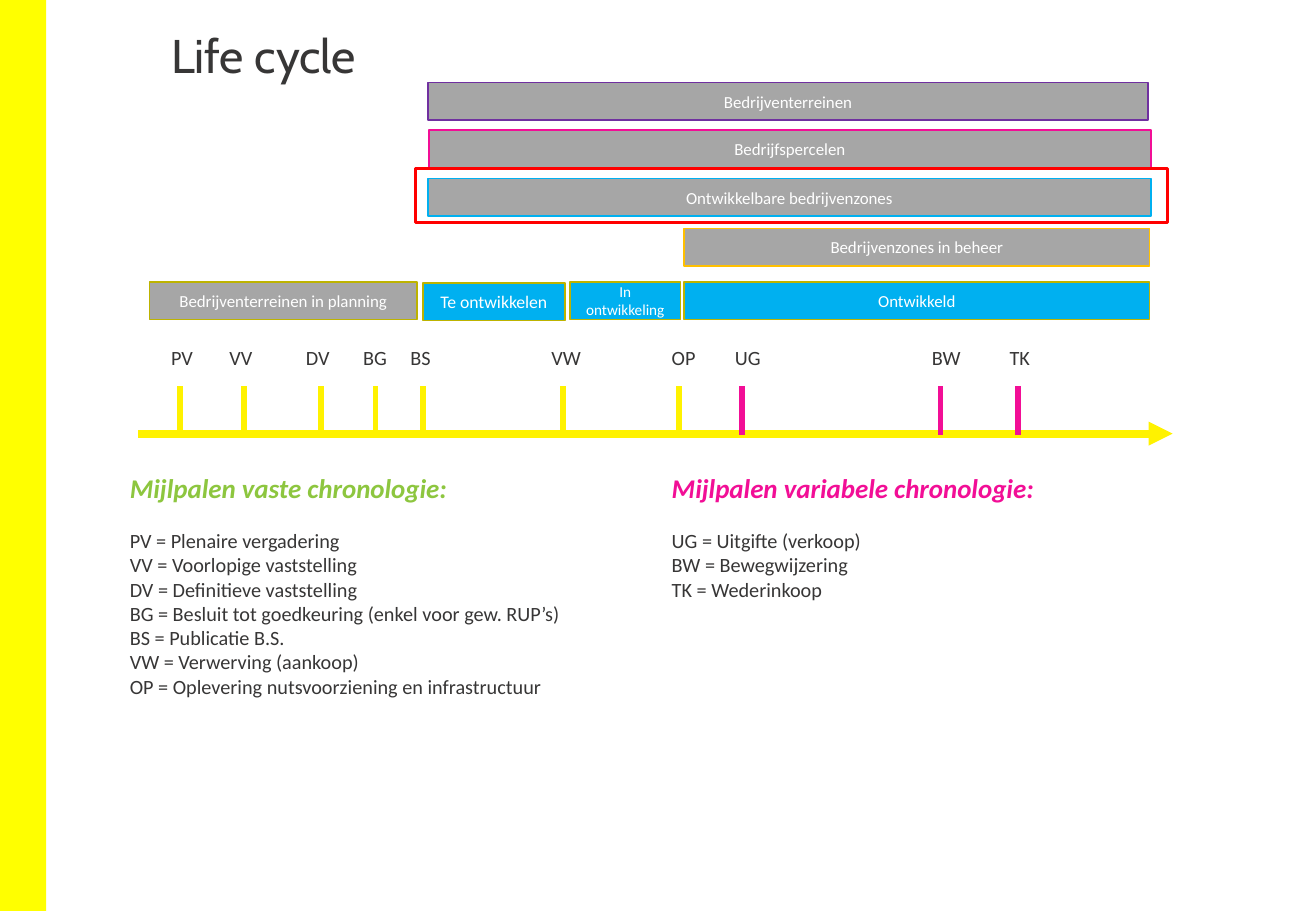
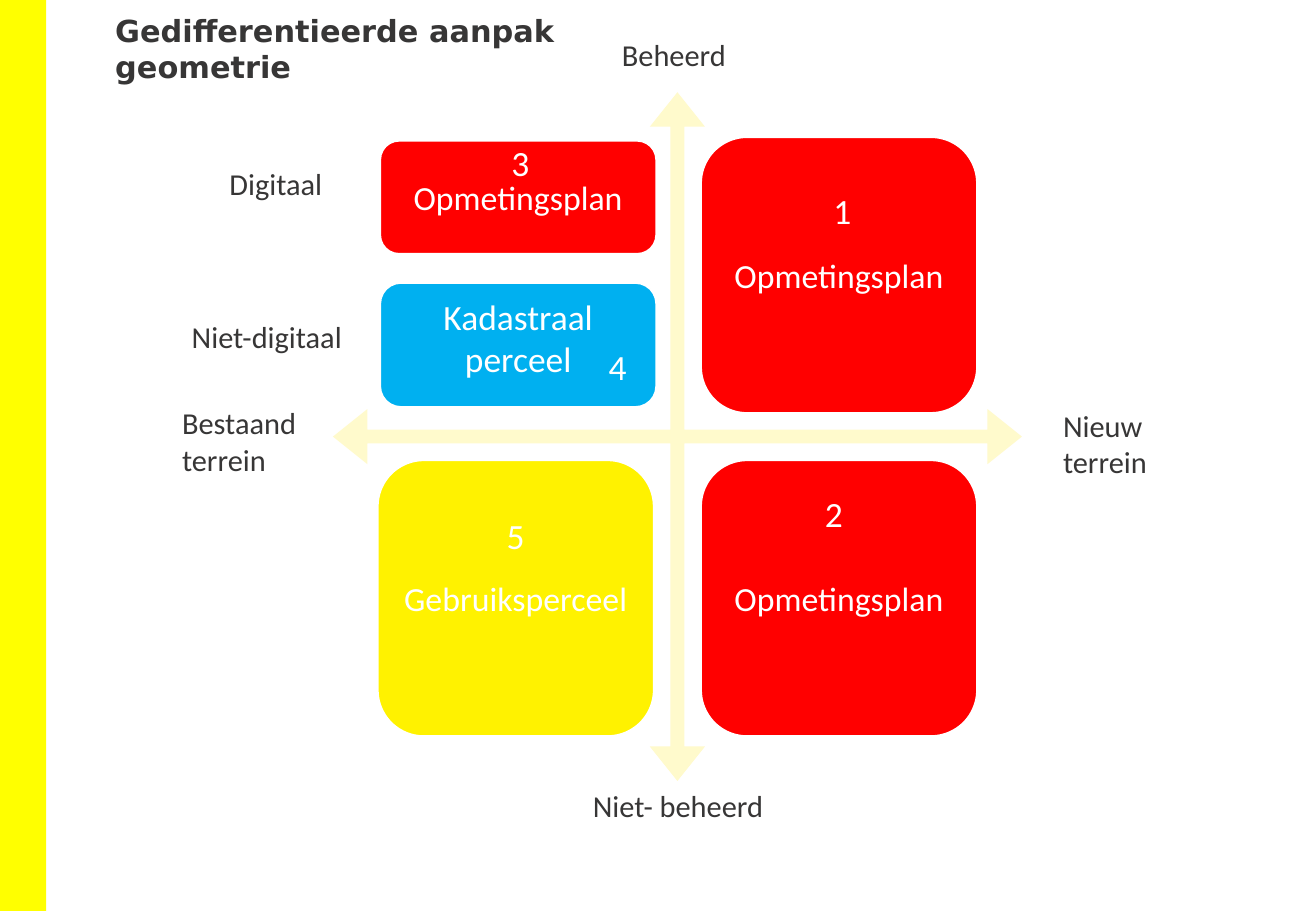
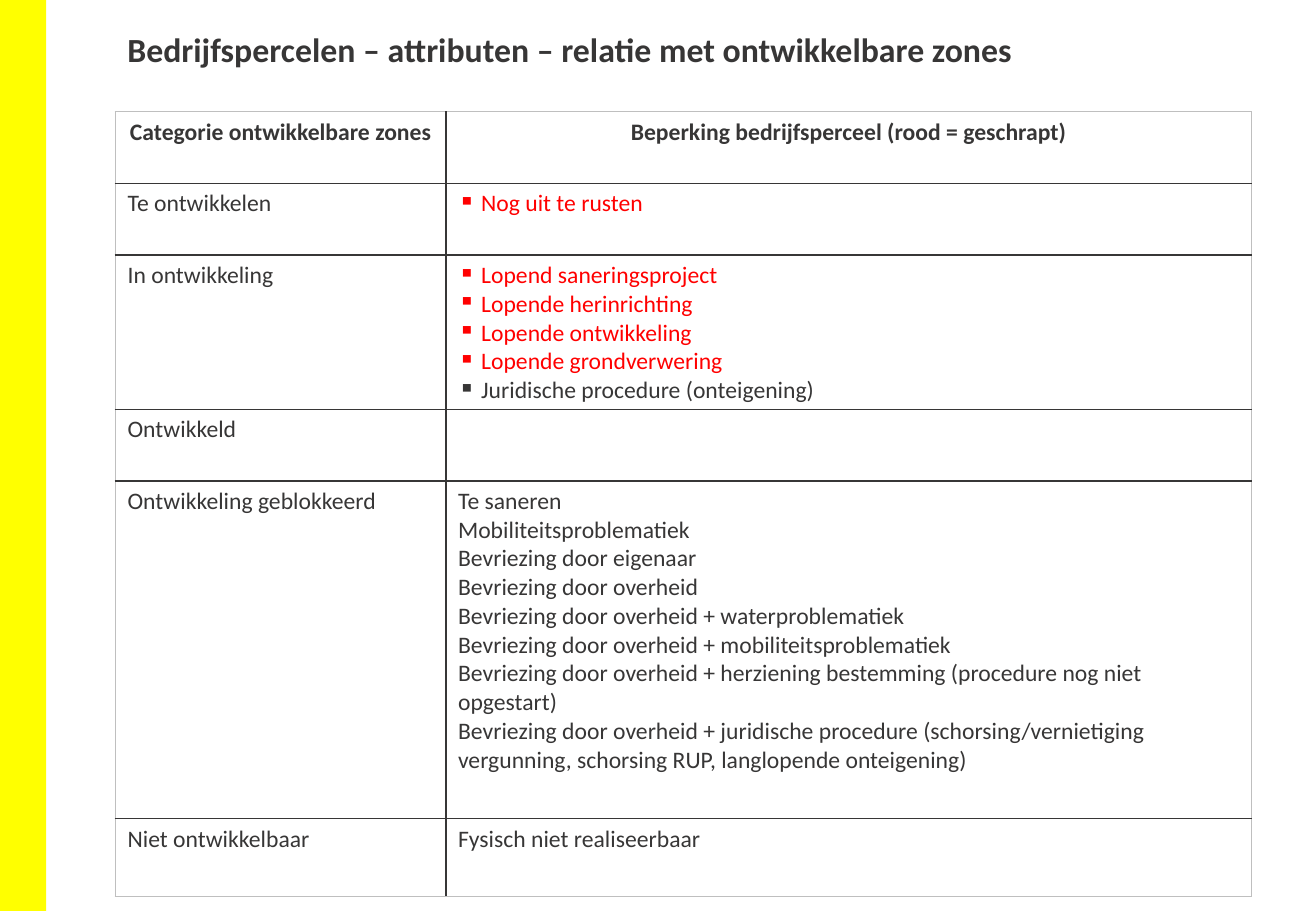
from dataclasses import dataclass

from lxml.etree import SubElement
from pptx import Presentation
from pptx.dml.color import RGBColor
from pptx.enum.shapes import MSO_CONNECTOR, MSO_SHAPE
from pptx.enum.text import MSO_ANCHOR, PP_ALIGN
from pptx.oxml.ns import qn
from pptx.util import Emu, Pt

EMU_PER_PX = 9144  # 100 px to the inch
SLIDE_W, SLIDE_H = 1083, 750


@dataclass(frozen=True)
class Theme:
    # Colours
    band: str = "FFFF00"
    ink: str = "373636"
    white: str = "FFFFFF"
    grey: str = "A6A6A6"
    blue: str = "00B0F0"
    olive: str = "BDB300"
    yellow: str = "FFF200"
    pale: str = "FFFACC"
    pink: str = "F20E96"
    purple: str = "7030A0"
    amber: str = "FFC000"
    green: str = "8DC63F"
    red: str = "FF0000"
    table_edge: str = "BFBFBF"
    # Fonts and sizes in points
    body_font: str = "Calibri"
    cycle_font: str = "Cabin"
    approach_font: str = "DejaVu Sans"
    cycle_title: float = 28
    approach_title: float = 18
    table_title: float = 20
    heading: float = 16
    table: float = 14
    milestone: float = 12
    bar: float = 10
    axis: float = 18
    quadrant: float = 20
    number: float = 21


T = Theme()


# Shared helpers
def px(n):
    return Emu(n * EMU_PER_PX)


def rgb(code):
    return RGBColor.from_string(code)


def style(paragraph, size, color=T.ink, font=T.body_font, bold=False, italic=False):
    paragraph.font.name = font
    paragraph.font.size = Pt(size)
    paragraph.font.bold = bold
    paragraph.font.italic = italic
    paragraph.font.color.rgb = rgb(color)


def add_text(slide, x, y, w, h, text, size, **look):
    frame = slide.shapes.add_textbox(px(x), px(y), px(w), px(h)).text_frame
    frame.word_wrap = True
    frame.text = text
    style(frame.paragraphs[0], size, **look)
    return frame


def add_block(slide, x, y, w, h, fill=None, line=None, weight=1,
              preset=MSO_SHAPE.RECTANGLE):
    block = slide.shapes.add_shape(preset, px(x), px(y), px(w), px(h))
    block.shadow.inherit = False
    if fill:
        block.fill.solid()
        block.fill.fore_color.rgb = rgb(fill)
    else:
        block.fill.background()
    if line:
        block.line.color.rgb = rgb(line)
        block.line.width = Pt(weight)
    else:
        block.line.fill.background()
    return block


def label_block(block, text, size, anchor=MSO_ANCHOR.MIDDLE):
    frame = block.text_frame
    frame.word_wrap = True
    frame.vertical_anchor = anchor
    frame.text = text
    frame.paragraphs[0].alignment = PP_ALIGN.CENTER
    style(frame.paragraphs[0], size, T.white)


def add_line(slide, x1, y1, x2, y2, color, weight, arrow=False):
    line = slide.shapes.add_connector(
        MSO_CONNECTOR.STRAIGHT, px(x1), px(y1), px(x2), px(y2))
    line.line.color.rgb = rgb(color)
    line.line.width = Pt(weight)
    if arrow:
        SubElement(line.line._get_or_add_ln(), qn("a:tailEnd"), type="triangle")
    SubElement(line._element.spPr, qn("a:effectLst"))


def new_slide(deck):
    slide = deck.slides.add_slide(deck.slide_layouts[6])
    add_block(slide, 0, 0, 38, SLIDE_H, T.band)
    return slide


# Slide 1: life cycle
BAR_H = 31
BARS = [  # text, left, top, width, fill, outline, size
    ("Bedrijventerreinen", 352, 68, 593, T.grey, T.purple, T.bar),
    ("Bedrijfspercelen", 353, 107, 594, T.grey, T.pink, T.bar),
    ("Ontwikkelbare bedrijvenzones", 352, 147, 595, T.grey, T.blue, T.bar),
    ("Bedrijvenzones in beheer", 563, 188, 383, T.grey, T.amber, T.bar),
    ("Bedrijventerreinen in planning", 123, 232, 220, T.grey, T.olive, T.bar),
    ("Te ontwikkelen", 348, 233, 117, T.blue, T.olive, 10.5),
    ("In ontwikkeling", 469, 232, 91, T.blue, T.olive, 9),
    ("Ontwikkeld", 563, 232, 383, T.blue, T.olive, T.bar),
]
FIXED_MILESTONES = [  # code, tick position, label left
    ("PV", 148, 131), ("VV", 201, 179), ("DV", 264, 242), ("BG", 309, 289),
    ("BS", 348, 328), ("VW", 463, 444), ("OP", 559, 543),
]
VARIABLE_MILESTONES = [("UG", 611, 595), ("BW", 774, 757), ("TK", 838, 821)]
FIXED_LEGEND = [
    "PV = Plenaire vergadering",
    "VV = Voorlopige vaststelling",
    "DV = Definitieve vaststelling",
    "BG = Besluit tot goedkeuring (enkel voor gew. RUP’s)",
    "BS = Publicatie B.S.",
    "VW = Verwerving (aankoop)",
    "OP = Oplevering nutsvoorziening en infrastructuur",
]
VARIABLE_LEGEND = [
    "UG = Uitgifte (verkoop)",
    "BW = Bewegwijzering",
    "TK = Wederinkoop",
]


def add_milestones(slide, milestones, color):
    for code, tick, label_left in milestones:
        add_line(slide, tick, 318, tick, 358, color, 3.5)
        add_text(slide, label_left, 279, 50, 30, code, T.milestone)


def add_legend(slide, x, h, heading, color, entries):
    frame = add_text(slide, x, 383, 417, h, heading, T.heading,
                     color=color, bold=True, italic=True)
    for index, entry in enumerate(entries):
        paragraph = frame.add_paragraph()
        paragraph.text = entry
        if index == 0:
            paragraph.space_before = Pt(14.6)
        style(paragraph, T.milestone)


def build_life_cycle(deck):
    slide = new_slide(deck)
    title = add_text(slide, 131, 22, 811, 72, "Life cycle", T.cycle_title,
                     font=T.cycle_font)
    title.paragraphs[0].line_spacing = 0.9

    # Timeline
    add_line(slide, 114, 357, 965, 357, T.yellow, 4.75, arrow=True)
    add_milestones(slide, FIXED_MILESTONES, T.yellow)
    add_milestones(slide, VARIABLE_MILESTONES, T.pink)

    # Bars and the frame around the developable zones
    for text, x, y, w, fill, outline, size in BARS:
        label_block(add_block(slide, x, y, w, BAR_H, fill, outline), text, size)
    add_block(slide, 342, 139, 619, 44, line=T.red, weight=1.75)

    add_legend(slide, 97, 199, "Mijlpalen vaste chronologie:", T.green, FIXED_LEGEND)
    add_legend(slide, 543, 118, "Mijlpalen variabele chronologie:", T.pink,
               VARIABLE_LEGEND)


# Slide 2: approach by quadrant
QUADRANTS = [  # text, left, top, height, fill, size, anchor
    ("Opmetingsplan", 313, 116, 93, T.red, T.quadrant, MSO_ANCHOR.MIDDLE),
    ("Opmetingsplan", 577, 113, 227, T.red, T.quadrant, MSO_ANCHOR.MIDDLE),
    ("Gebruiksperceel", 311, 379, 227, T.yellow, T.quadrant, MSO_ANCHOR.MIDDLE),
    ("Opmetingsplan", 577, 379, 227, T.red, T.quadrant, MSO_ANCHOR.MIDDLE),
    ("Kadastraal perceel", 313, 233, 102, T.blue, T.number, MSO_ANCHOR.TOP),
]
AXIS_LABELS = [  # text, left, top, width, height
    ("Bestaand terrein", 140, 328, 118, 71),
    ("Nieuw terrein", 865, 330, 118, 71),
    ("Beheerd", 502, 25, 146, 40),
    ("Niet- beheerd", 478, 643, 195, 40),
    ("Digitaal", 179, 131, 118, 40),
    ("Niet-digitaal", 148, 257, 150, 40),
]
NUMBER_PLACES = [(676, 151), (669, 400), (411, 111), (491, 279), (407, 418)]


def build_approach(deck):
    slide = new_slide(deck)
    add_text(slide, 85, 5, 500, 71, "Gedifferentieerde aanpak geometrie",
             T.approach_title, font=T.approach_font, bold=True)

    # Crossed axes
    axes = add_block(slide, 274, 76, 567, 567, T.pale, preset=MSO_SHAPE.QUAD_ARROW)
    for index, value in enumerate((0.02, 0.04, 0.05)):
        axes.adjustments[index] = value

    # Quadrants, axis labels and numbers
    for text, x, y, h, fill, size, anchor in QUADRANTS:
        quadrant = add_block(slide, x, y, 227, h, fill, T.white,
                             preset=MSO_SHAPE.ROUNDED_RECTANGLE)
        label_block(quadrant, text, size, anchor)
    for text, x, y, w, h in AXIS_LABELS:
        add_text(slide, x, y, w, h, text, T.axis)
    for number, (x, y) in enumerate(NUMBER_PLACES, start=1):
        add_text(slide, x, y, 31, 45, str(number), T.number, color=T.white)


# Slide 3: table of restrictions
COLUMN_WIDTHS = (272, 663)
HEADERS = ("Categorie ontwikkelbare zones", "Beperking bedrijfsperceel (rood = geschrapt)")
HEADER_H = 59
CATEGORIES = [  # category, row height, struck items, kept bullets, plain lines
    ("Te ontwikkelen", 59, ["Nog uit te rusten"], [], []),
    ("In ontwikkeling", 127,
     ["Lopend saneringsproject", "Lopende herinrichting",
      "Lopende ontwikkeling", "Lopende grondverwering"],
     ["Juridische procedure (onteigening)"], []),
    ("Ontwikkeld", 59, [], [], []),
    ("Ontwikkeling geblokkeerd", 278, [], [], [
        "Te saneren",
        "Mobiliteitsproblematiek",
        "Bevriezing door eigenaar",
        "Bevriezing door overheid",
        "Bevriezing door overheid + waterproblematiek",
        "Bevriezing door overheid + mobiliteitsproblematiek",
        "Bevriezing door overheid + herziening bestemming "
        "(procedure nog niet opgestart)",
        "Bevriezing door overheid + juridische procedure (schorsing/vernietiging "
        "vergunning, schorsing RUP, langlopende onteigening)",
    ]),
    ("Niet ontwikkelbaar", 64, [], [], ["Fysisch niet realiseerbaar"]),
]


def add_bullet(paragraph):
    properties = paragraph._p.get_or_add_pPr()
    properties.set("marL", str(px(19)))
    properties.set("indent", str(px(-19)))
    SubElement(properties, qn("a:buChar"), char="▪")


def set_borders(cell, edges):
    properties = cell._tc.get_or_add_tcPr()
    for side, is_outer in edges.items():
        border = SubElement(properties, qn(f"a:ln{side}"), w=str(Pt(1)))
        fill = SubElement(border, qn("a:solidFill"))
        SubElement(fill, qn("a:srgbClr"), val=T.table_edge if is_outer else T.ink)


def fill_cell(cell, lines, bold=False, align=PP_ALIGN.LEFT):
    """Each line is (text, colour, bulleted)."""
    frame = cell.text_frame
    for index, (text, color, bulleted) in enumerate(lines):
        paragraph = frame.add_paragraph() if index else frame.paragraphs[0]
        paragraph.text = text
        paragraph.alignment = align
        if bulleted:
            add_bullet(paragraph)
        style(paragraph, T.table, color, bold=bold)


def build_restrictions(deck):
    slide = new_slide(deck)
    add_text(slide, 95, 19, 915, 44,
             "Bedrijfspercelen – attributen – relatie met ontwikkelbare zones",
             T.table_title, bold=True)

    heights = [HEADER_H] + [category[1] for category in CATEGORIES]
    table = slide.shapes.add_table(
        len(heights), len(COLUMN_WIDTHS), px(95), px(92),
        px(sum(COLUMN_WIDTHS)), px(sum(heights))).table
    table.first_row = table.horz_banding = False
    for column, width in zip(table.columns, COLUMN_WIDTHS):
        column.width = px(width)

    # Grid
    last_row, last_column = len(heights) - 1, len(COLUMN_WIDTHS) - 1
    for r, height in enumerate(heights):
        table.rows[r].height = px(height)
        for c in range(len(COLUMN_WIDTHS)):
            cell = table.cell(r, c)
            set_borders(cell, {"L": c == 0, "R": c == last_column,
                               "T": r == 0, "B": r == last_row})
            cell.fill.solid()
            cell.fill.fore_color.rgb = rgb(T.white)

    # Content
    for c, header in enumerate(HEADERS):
        fill_cell(table.cell(0, c), [(header, T.ink, False)], True, PP_ALIGN.CENTER)
    for r, (category, _, struck, kept, plain) in enumerate(CATEGORIES, start=1):
        fill_cell(table.cell(r, 0), [(category, T.ink, False)])
        fill_cell(table.cell(r, 1),
                  [(text, T.red, True) for text in struck]
                  + [(text, T.ink, True) for text in kept]
                  + [(text, T.ink, False) for text in plain])


def main():
    deck = Presentation()
    deck.slide_width, deck.slide_height = px(SLIDE_W), px(SLIDE_H)
    build_life_cycle(deck)
    build_approach(deck)
    build_restrictions(deck)
    deck.save("out.pptx")


if __name__ == "__main__":
    main()
